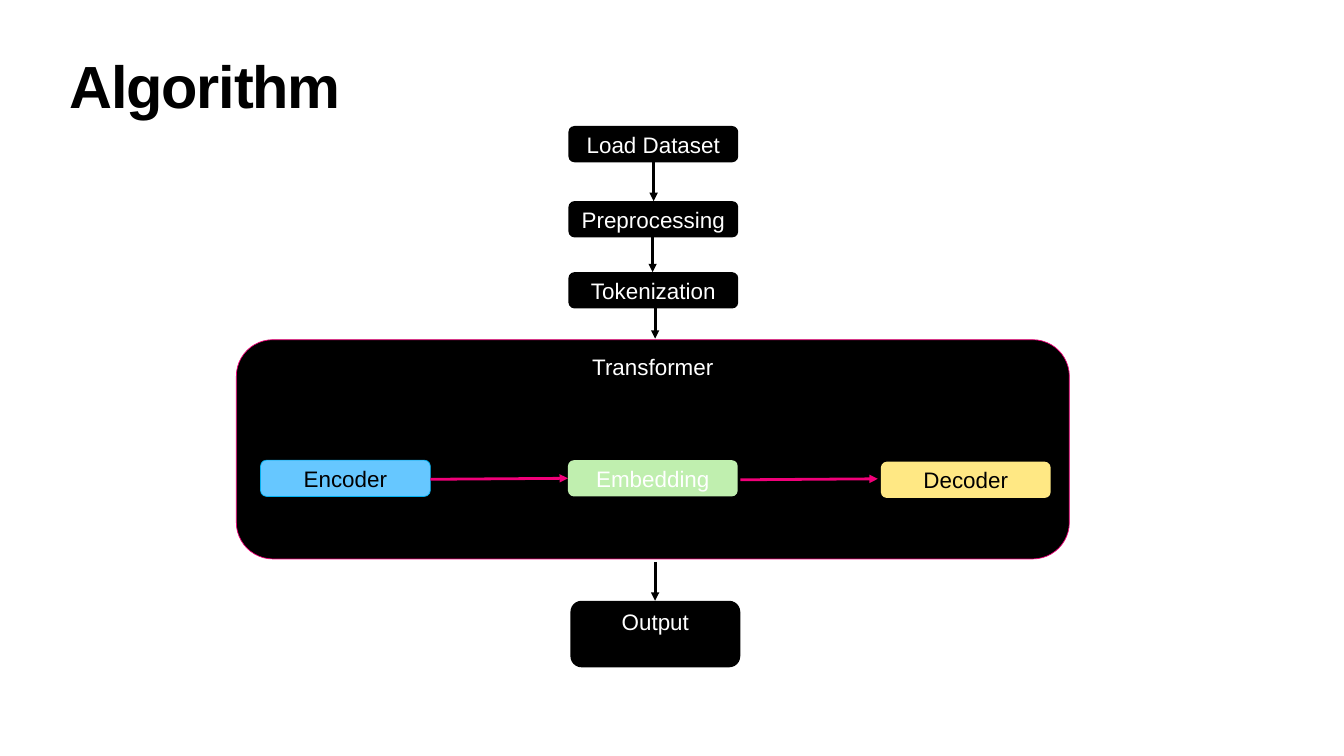
from lxml.etree import SubElement
from pptx import Presentation
from pptx.dml.color import RGBColor
from pptx.enum.shapes import MSO_CONNECTOR, MSO_SHAPE
from pptx.enum.text import MSO_ANCHOR, MSO_AUTO_SIZE, PP_ALIGN
from pptx.oxml.ns import qn
from pptx.util import Inches, Pt

THEME = {
    "font": "Arial", "title_size": 85, "label_size": 32,
    "black": "000000", "white": "FFFFFF", "pink": "F10079",
    "blue": "66C7FF", "blue_line": "00B0F0",
    "green": "C0EFAF", "yellow": "FFE884",
}
INSET = 0.06
BOX_WIDTH, BOX_HEIGHT = 3.37, 0.72
ARROW_DROP, ARROW_RUN, ARROW_RISE = 0.77, 2.73, -0.02

# Content: label, left, top, fill, text colour, outline
TITLE = "Algorithm"
STEPS = [
    ("Load Dataset", 11.28, 2.5, "black", "white", None),
    ("Preprocessing", 11.28, 3.99, "black", "white", None),
    ("Tokenization", 11.28, 5.4, "black", "white", None),
    ("Encoder", 5.17, 9.13, "blue", "black", "blue_line"),
    ("Embedding", 11.27, 9.13, "green", "white", None),
    ("Decoder", 17.48, 9.16, "yellow", "black", None),
]
# Arrow starting points
FLOW_ARROWS = [(12.97, 3.22), (12.95, 4.63), (13, 5.95), (13, 11.15)]
MODEL_ARROWS = [(8.54, 9.51), (14.69, 9.52)]


def color(name):
    return RGBColor.from_string(THEME[name])


def set_all(target, values):
    for name, value in values.items():
        setattr(target, name, value)


def write(shape, text, size, text_color, align, anchor, top_inset=INSET, bold=False):
    frame = shape.text_frame
    frame.text = text
    set_all(frame, {
        "word_wrap": True, "auto_size": MSO_AUTO_SIZE.NONE, "vertical_anchor": anchor,
        "margin_left": Inches(INSET), "margin_right": Inches(INSET),
        "margin_top": Inches(top_inset), "margin_bottom": Inches(INSET),
    })
    paragraph = frame.paragraphs[0]
    paragraph.alignment = align
    font = paragraph.runs[0].font
    set_all(font, {"name": THEME["font"], "size": Pt(THEME[size]), "bold": bold})
    font.color.rgb = color(text_color)
    return paragraph


def add_box(label, left, top, fill, text_color, outline=None, width=BOX_WIDTH,
            height=BOX_HEIGHT, anchor=MSO_ANCHOR.MIDDLE, top_inset=INSET):
    shape = slide.shapes.add_shape(MSO_SHAPE.ROUNDED_RECTANGLE, Inches(left),
                                   Inches(top), Inches(width), Inches(height))
    shape.shadow.inherit = False
    shape.fill.solid()
    shape.fill.fore_color.rgb = color(fill)
    if outline:
        shape.line.color.rgb = color(outline)
        shape.line.width = Pt(1)
    else:
        shape.line.fill.background()
    write(shape, label, "label_size", text_color, PP_ALIGN.CENTER, anchor, top_inset)


def add_arrow(left, top, run, drop, line_color):
    arrow = slide.shapes.add_connector(MSO_CONNECTOR.STRAIGHT, Inches(left), Inches(top),
                                       Inches(left + run), Inches(top + drop))
    arrow.line.color.rgb = color(line_color)
    arrow.line.width = Pt(4)
    SubElement(arrow.line._get_or_add_ln(), qn("a:tailEnd"), type="triangle")
    SubElement(arrow._element.spPr, qn("a:effectLst"))


presentation = Presentation()
set_all(presentation, {"slide_width": Inches(26.67), "slide_height": Inches(15)})
slide = presentation.slides.add_slide(presentation.slide_layouts[5])

# Title
title = slide.shapes.title
set_all(title, {"left": Inches(1.32), "top": Inches(1.18),
                "width": Inches(10.69), "height": Inches(1.57)})
heading = write(title, TITLE, "title_size", "black", PP_ALIGN.LEFT, MSO_ANCHOR.TOP, bold=True)
heading.line_spacing = 0.8
heading.runs[0].font._element.set("spc", "-170")

# Transformer panel, then the steps and the output
add_box("Transformer", 4.69, 6.74, "black", "white", "pink", 16.53, 4.35, MSO_ANCHOR.TOP)
for step in STEPS:
    add_box(*step)
add_box("Output", 11.32, 11.92, "black", "white", height=1.32,
        anchor=MSO_ANCHOR.TOP, top_inset=0.09)

# Arrows
for left, top in FLOW_ARROWS:
    add_arrow(left, top, 0, ARROW_DROP, "black")
for left, top in MODEL_ARROWS:
    add_arrow(left, top, ARROW_RUN, ARROW_RISE, "pink")

presentation.save("out.pptx")
